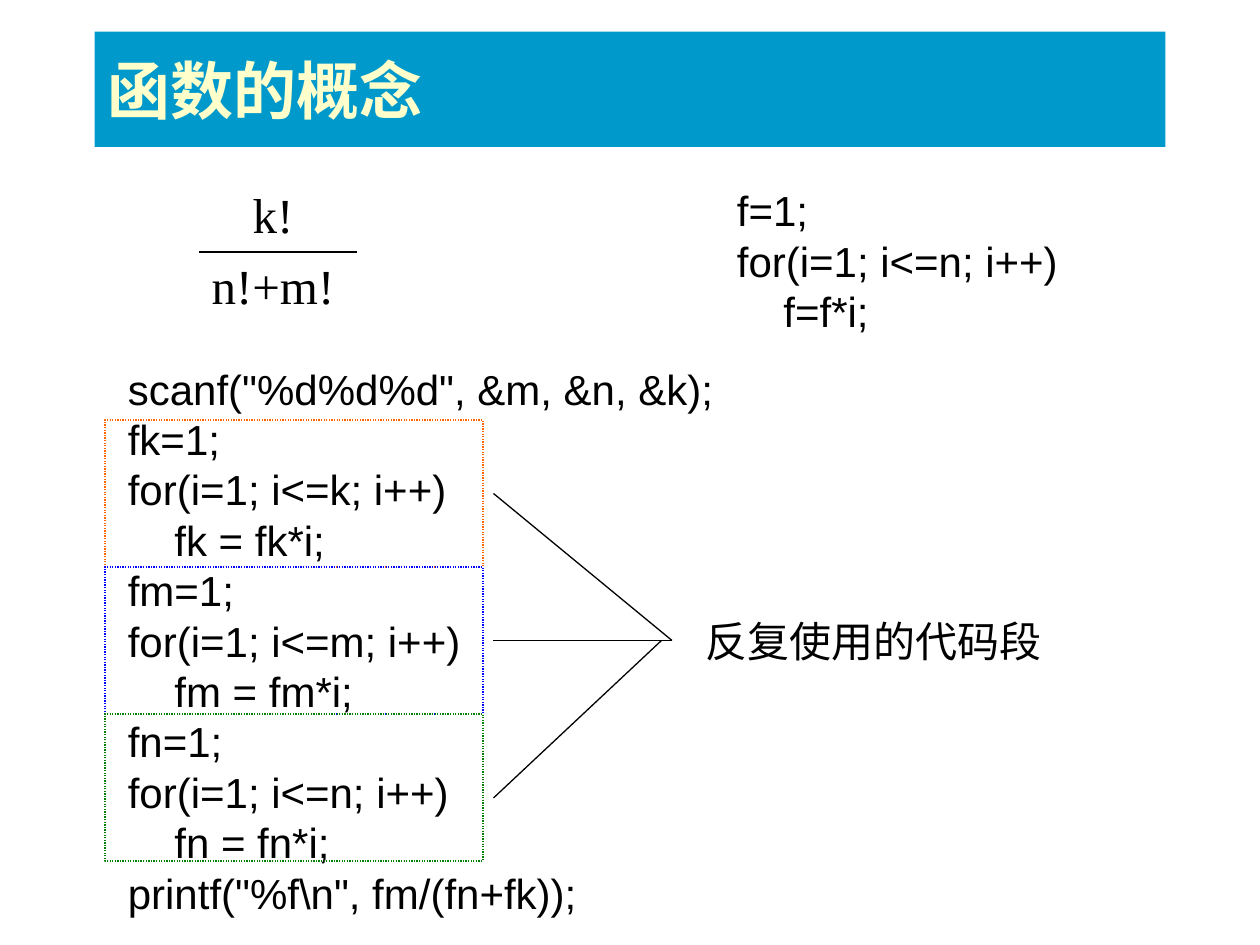
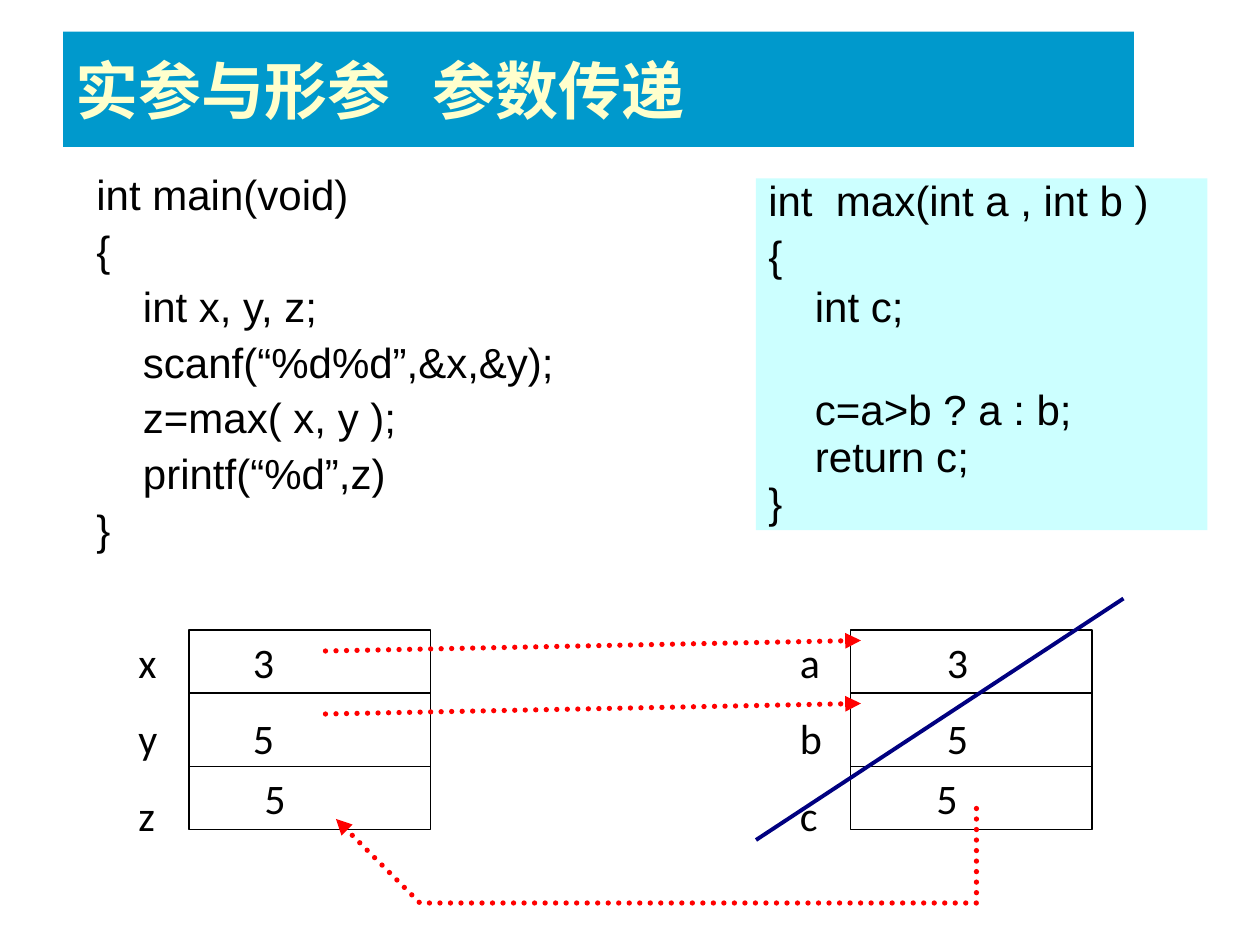
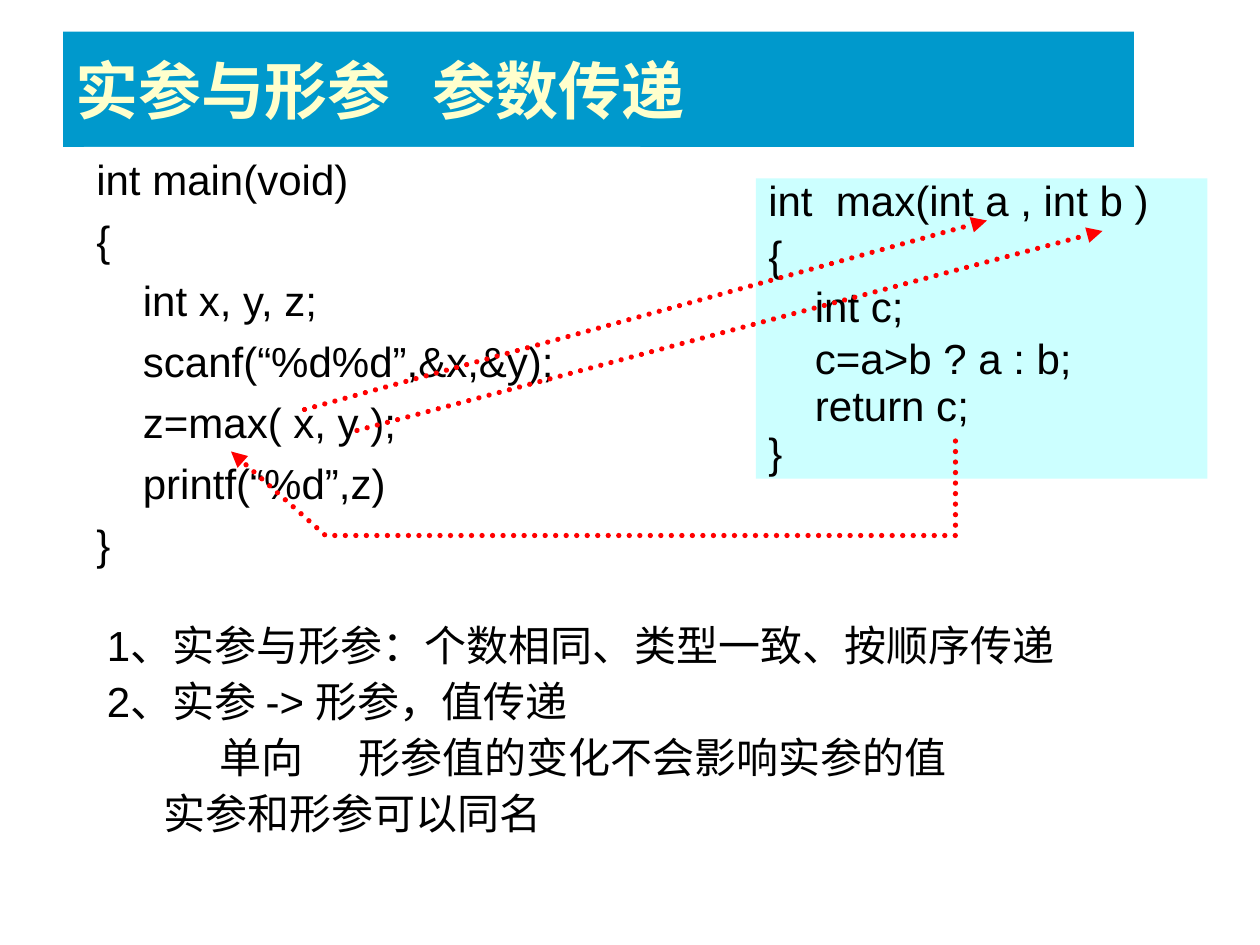
"""Build three slides on C functions, laid out on a grid of 12 steps to the inch."""
from lxml import etree
from pptx import Presentation
from pptx.dml.color import RGBColor
from pptx.enum.dml import MSO_LINE
from pptx.enum.shapes import MSO_CONNECTOR, MSO_SHAPE
from pptx.enum.text import MSO_ANCHOR, MSO_AUTO_SIZE, PP_ALIGN
from pptx.oxml.ns import qn
from pptx.util import Cm, Pt

RECT = MSO_SHAPE.RECTANGLE
LINE = MSO_CONNECTOR.STRAIGHT
DOT = MSO_LINE.ROUND_DOT
MID, TOP = MSO_ANCHOR.MIDDLE, MSO_ANCHOR.TOP
LEFT, CENTER = PP_ALIGN.LEFT, PP_ALIGN.CENTER
FIXED = MSO_AUTO_SIZE.NONE
TITLE_ONLY = 5
STEP = 2.54 / 12

BLACK, WHITE, BLUE, CREAM, PALE = "000000", "FFFFFF", "0099CC", "FFFFCC", "CCFFFF"
HEAD = {"name": "Montserrat", "size": Pt(36), "bold": True}
CODE = {"name": "Arial", "size": Pt(24)}
MATH = {"name": "Times New Roman", "size": Pt(28)}
CELL = {"name": "Calibri", "size": Pt(24)}

THIN = {"color": BLACK, "width": 0.75}
SLASH = {"color": "000080", "width": 2.25}
ARROW = {"color": "FF0000", "width": 3, "dash": DOT, "arrow": True}

CALL = "实参与形参\t参数传递"
MAIN = ["int main(void)", "{", "    int x, y, z;", "    scanf(“%d%d”,&x,&y);",
        "    z=max( x, y );", "    printf(“%d”,z)", "}"]
MAX = [("int  max(int a , int b )", {"line_spacing": 0.8}), "{", "    int c;",
       "    c=a>b ? a : b;", ("    return c;", {"line_spacing": 0.4}),
       ("}", {"line_spacing": 0.4})]
WIDE = MAX[:3] + [(MAX[3], {"space_before": Pt(44)})] + MAX[4:]
LOOPS = [("k", "FF6600"), ("m", "0000FF"), ("n", "008000")]
PROG = ['scanf("%d%d%d", &m, &n, &k);']
for var, _ in LOOPS:
    PROG += [f"f{var}=1;", f"for(i=1; i<={var}; i++)", f"    f{var} = f{var}*i;"]
PROG.append('printf("%f\\n", fm/(fn+fk));')
NOTES = ["1、实参与形参：个数相同、类型一致、按顺序传递", "2、实参 -> 形参，值传递",
         ("单向\t形参值的变化不会影响实参的值", {"indent": 10.75, "tab": 27.6}),
         ("实参和形参可以同名", {"indent": 5.4})]

TIGHT = {"line_spacing": 0.9, "space_before": Pt(6)}
LOOSE = {"space_before": Pt(6)}
HALF = {"line_spacing": 0.5, "space_before": Pt(15)}
ROWS = {"space_before": Pt(15)}
PAIR = {"space_before": Pt(15), "tab": 10.9}

SLIDES = [
    {"title": "函数的概念", "left": 9,
     "texts": [
         ((12, 17, 28, 15), ["k!", "n!+m!"], MATH, {"alignment": CENTER, "space_before": Pt(7)}),
         ((69, 17, 34, 15.6), ["f=1;", "for(i=1; i<=n; i++)", "    f=f*i;"], CODE, {}),
         ((11, 34, 66, 54), PROG, CODE, {}),
         ((66, 58, 40, 6), ["反复使用的代码段"], CODE, {})],
     "frames": [((10, 40 + 14 * i, 36, 14), {**THIN, "color": tint, "dash": DOT})
                for i, (_, tint) in enumerate(LOOPS)],
     "lines": [([(19, 24), (34, 24)], THIN), ([(47, 47), (64, 61)], THIN),
               ([(47, 76), (63, 61)], THIN), ([(47, 61), (64, 61)], THIN)]},
    {"title": CALL, "left": 6,
     "texts": [
         ((72, 17, 43, 33.5), WIDE, CODE, HALF, PALE),
         ((8, 16, 51, 40), MAIN, CODE, TIGHT),
         ((12, 60, 25, 20.6), ["x\t3", "y\t5", "z"], CELL, PAIR),
         ((75, 60, 5, 35), ["a", "b", "c"], CELL, ROWS),
         ((89, 60, 5, 13.3), ["3", "5"], CELL, ROWS),
         ((24, 73, 7, 6), ["5"], CELL, {}),
         ((88, 73, 7, 6), ["5"], CELL, {})],
     "frames": [((x, 60, 23, 19), THIN) for x in (18, 81)],
     "lines": [([(x, y), (x + 23, y)], THIN) for x in (18, 81) for y in (66, 73)] + [
         ([(31, 62), (82, 61)], ARROW), ([(31, 68), (82, 67)], ARROW),
         ([(93, 77), (93, 86), (40, 86), (32, 78)], ARROW),
         ([(72, 80), (107, 57)], SLASH)]},
    {"title": CALL, "left": 6,
     "texts": [
         ((9, 59, 95, 23), NOTES, CODE, TIGHT),
         ((8, 14, 53, 40.8), MAIN, CODE, LOOSE, WHITE),
         ((72, 17, 43, 28.6), MAX, CODE, HALF, PALE)],
     "frames": [],
     "lines": [([(91, 42), (91, 51), (31, 51), (22, 43)], ARROW),
               ([(29, 39), (94, 21)], ARROW), ([(34, 41), (105, 22)], ARROW)]},
]


def grid(*nums):
    """Turn grid steps into lengths."""
    return [Cm(n * STEP) for n in nums]


def rgb(hex):
    """Turn a hex string into a colour."""
    return RGBColor.from_string(hex)


def apply(item, vals):
    """Set each attribute of a dict on an object."""
    for key, val in vals.items():
        setattr(item, key, val)


def paint(shape, hex):
    """Give a shape a solid fill."""
    shape.fill.solid()
    shape.fill.fore_color.rgb = rgb(hex)


def write(shape, lines, font, form, color=BLACK, anchor=TOP):
    """Fill a shape with formatted paragraphs."""
    frame = shape.text_frame
    apply(frame, {"word_wrap": True, "auto_size": FIXED, "vertical_anchor": anchor})
    for i, line in enumerate(lines):
        text, own = line if isinstance(line, tuple) else (line, {})
        vals = {"alignment": LEFT, **form, **own}
        para = frame.add_paragraph() if i else frame.paragraphs[0]
        para.text = text
        props = para._p.get_or_add_pPr()
        if "indent" in vals:
            props.set("marL", "0")
            props.set("indent", str(grid(vals.pop("indent"))[0]))
        if "tab" in vals:
            stops = etree.SubElement(props, qn("a:tabLst"))
            pos = str(grid(vals.pop("tab"))[0])
            etree.SubElement(stops, qn("a:tab"), pos=pos, algn="l")
        if not i:
            vals["space_before"] = Pt(0)
        apply(para, vals)
        apply(para.font, font)
        para.font.color.rgb = rgb(color)


def stroke(shape, style):
    """Style an outline or a line, with an arrowhead if asked."""
    line = shape.line
    line.color.rgb = rgb(style["color"])
    line.width = Pt(style["width"])
    if "dash" in style:
        line.dash_style = style["dash"]
    if "arrow" in style:
        ln = shape.element.spPr.find(qn("a:ln"))
        ln.set("cap", "rnd")
        etree.SubElement(ln, qn("a:tailEnd"), type="triangle")


def banner(slide, text, left):
    """Place the title on its band."""
    title = slide.shapes.title
    apply(title, dict(zip(("left", "top", "width", "height"), grid(left, 3, 102, 11))))
    paint(title, BLUE)
    write(title, [text], HEAD, {"tab": 34} if "\t" in text else {}, CREAM, MID)


def block(slide, place, lines, font, form, fill=None):
    """Add a text block, filled if a colour is given."""
    box = slide.shapes.add_textbox(*grid(*place))
    if fill:
        paint(box, fill)
    write(box, lines, font, form)


def frame(slide, place, style):
    """Add an empty outlined rectangle."""
    shape = slide.shapes.add_shape(RECT, *grid(*place))
    shape.shadow.inherit = False
    shape.fill.background()
    stroke(shape, style)


def link(slide, points, style):
    """Add a straight line, or a bent one through several points."""
    spots = [grid(*point) for point in points]
    if len(spots) == 2:
        shape = slide.shapes.add_connector(LINE, *spots[0], *spots[1])
        stroke(shape, style)
        etree.SubElement(shape.element.spPr, qn("a:effectLst"))
        return
    pen = slide.shapes.build_freeform(*spots[0])
    pen.add_line_segments(spots[1:], close=False)
    shape = pen.convert_to_shape()
    shape.fill.background()
    stroke(shape, style)
    shape.shadow.inherit = False


def main():
    """Build and save the deck."""
    deck = Presentation()
    deck.slide_width, deck.slide_height = grid(120, 90)
    for page in SLIDES:
        slide = deck.slides.add_slide(deck.slide_layouts[TITLE_ONLY])
        banner(slide, page["title"], page["left"])
        for part in page["texts"]:
            block(slide, *part)
        for part in page["frames"]:
            frame(slide, *part)
        for part in page["lines"]:
            link(slide, *part)
    deck.save("out.pptx")


if __name__ == "__main__":
    main()
